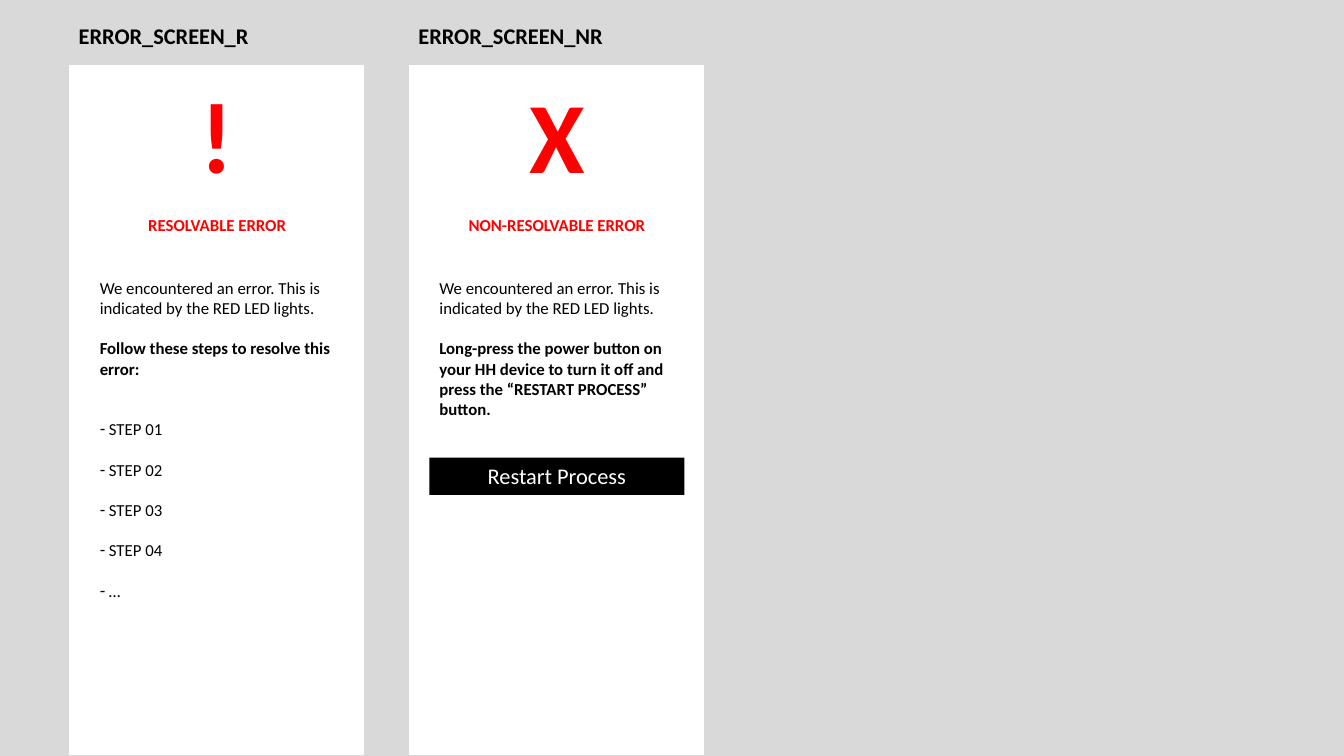
from dataclasses import dataclass

from lxml.etree import SubElement
from pptx import Presentation
from pptx.dml.color import RGBColor
from pptx.enum.shapes import MSO_SHAPE
from pptx.enum.text import MSO_ANCHOR, MSO_AUTO_SIZE, PP_ALIGN
from pptx.oxml.ns import qn
from pptx.util import Cm, Pt


@dataclass(frozen=True)
class Theme:
    font: str = "Calibri"
    backdrop: RGBColor = RGBColor(0xD9, 0xD9, 0xD9)
    white: RGBColor = RGBColor(0xFF, 0xFF, 0xFF)
    black: RGBColor = RGBColor(0x00, 0x00, 0x00)
    red: RGBColor = RGBColor(0xFF, 0x00, 0x00)
    symbol: Pt = Pt(72)
    heading: Pt = Pt(16)
    body: Pt = Pt(12)
    blank_line: Pt = Pt(14.65)


theme = Theme()


def place(shape, left, top, width, height):
    shape.left, shape.top = Cm(left), Cm(top)
    shape.width, shape.height = Cm(width), Cm(height)


def write(shape, lines, size, color, bold=False, align=PP_ALIGN.LEFT, bullet=None):
    text_frame = shape.text_frame
    text_frame.text = "\n".join(text for text, *_ in lines)
    text_frame.word_wrap = True
    text_frame.auto_size = MSO_AUTO_SIZE.NONE
    text_frame.vertical_anchor = MSO_ANCHOR.TOP
    for paragraph, (_, style, gap) in zip(text_frame.paragraphs, lines):
        properties = paragraph._p.get_or_add_pPr()
        is_step = style == "step"
        properties.set("marL", str(Cm(0.23) if is_step else 0))
        properties.set("indent", str(Cm(-0.23) if is_step else 0))
        if is_step:
            SubElement(properties, qn("a:buChar")).set("char", "-")
        else:
            SubElement(properties, qn("a:buNone"))
        paragraph.alignment = align
        paragraph.line_spacing = 2.0 if is_step else 1.0
        paragraph.space_before = theme.blank_line if gap else Pt(0)
        paragraph.space_after = Pt(0)
        for run in paragraph.runs:
            run.font.name = theme.font
            run.font.size = size
            run.font.bold = bold or style == "strong"
            run.font.color.rgb = color


introduction = ("We encountered an error. This is indicated by the RED LED lights.", "plain", False)
steps = ["STEP 01", "STEP 02", "STEP 03", "STEP 04", "…"]
screens = [
    {
        "heading": "ERROR_SCREEN_R",
        "symbol": "!",
        "label": "RESOLVABLE ERROR",
        "body_height": 8.97,
        "body": [
            introduction,
            ("Follow these steps to resolve this error:", "strong", True),
            *[(step, "step", index == 0) for index, step in enumerate(steps)],
        ],
    },
    {
        "heading": "ERROR_SCREEN_NR",
        "symbol": "X",
        "label": "NON-RESOLVABLE ERROR",
        "body_height": 3.84,
        "body": [
            introduction,
            ("Long-press the power button on your HH device to turn it off and", "strong", True),
            ("press the “RESTART PROCESS” button.", "strong", False),
        ],
        "button": "Restart Process",
    },
]

presentation = Presentation()
presentation.slide_width, presentation.slide_height = Cm(33.87), Cm(19.05)
slide = presentation.slides.add_slide(presentation.slide_layouts.get_by_name("Comparison"))
slide.background.fill.solid()
slide.background.fill.fore_color.rgb = theme.backdrop

title = slide.shapes.title._element
title.getparent().remove(title)
placeholders = list(slide.placeholders)

for column, screen in enumerate(screens):
    card_left = 1.73 + column * 8.56
    content_left, content_width = card_left + 0.53, 6.43
    heading, body = placeholders[column * 2:column * 2 + 2]

    card = slide.shapes.add_shape(
        MSO_SHAPE.RECTANGLE, Cm(card_left), Cm(1.63), Cm(7.47), Cm(17.42))
    card.shadow.inherit = False
    card.fill.solid()
    card.fill.fore_color.rgb = theme.white
    card.line.color.rgb = theme.backdrop
    card.line.width = Pt(1)
    heading._element.addprevious(card._element)

    place(heading, card_left, 0.43, 5.97, 0.94)
    write(heading, [(screen["heading"], "plain", False)], theme.heading, theme.black, bold=True)

    place(body, content_left, 6.86, content_width, screen["body_height"])
    write(body, screen["body"], theme.body, theme.black)

    for name, top, height, size in [
        ("symbol", 1.7, 3.33, theme.symbol),
        ("label", 5.28, 0.76, theme.body),
    ]:
        text_box = slide.shapes.add_textbox(
            Cm(content_left), Cm(top), Cm(content_width), Cm(height))
        write(text_box, [(screen[name], "plain", False)], size, theme.red,
              bold=True, align=PP_ALIGN.CENTER)

    if "button" in screen:
        button = slide.shapes.add_shape(
            MSO_SHAPE.RECTANGLE, Cm(content_left), Cm(11.53), Cm(content_width), Cm(0.94))
        button.shadow.inherit = False
        button.fill.solid()
        button.fill.fore_color.rgb = theme.black
        button.line.fill.background()
        write(button, [(screen["button"], "plain", False)], theme.heading, theme.white,
              align=PP_ALIGN.CENTER)

presentation.save("out.pptx")
